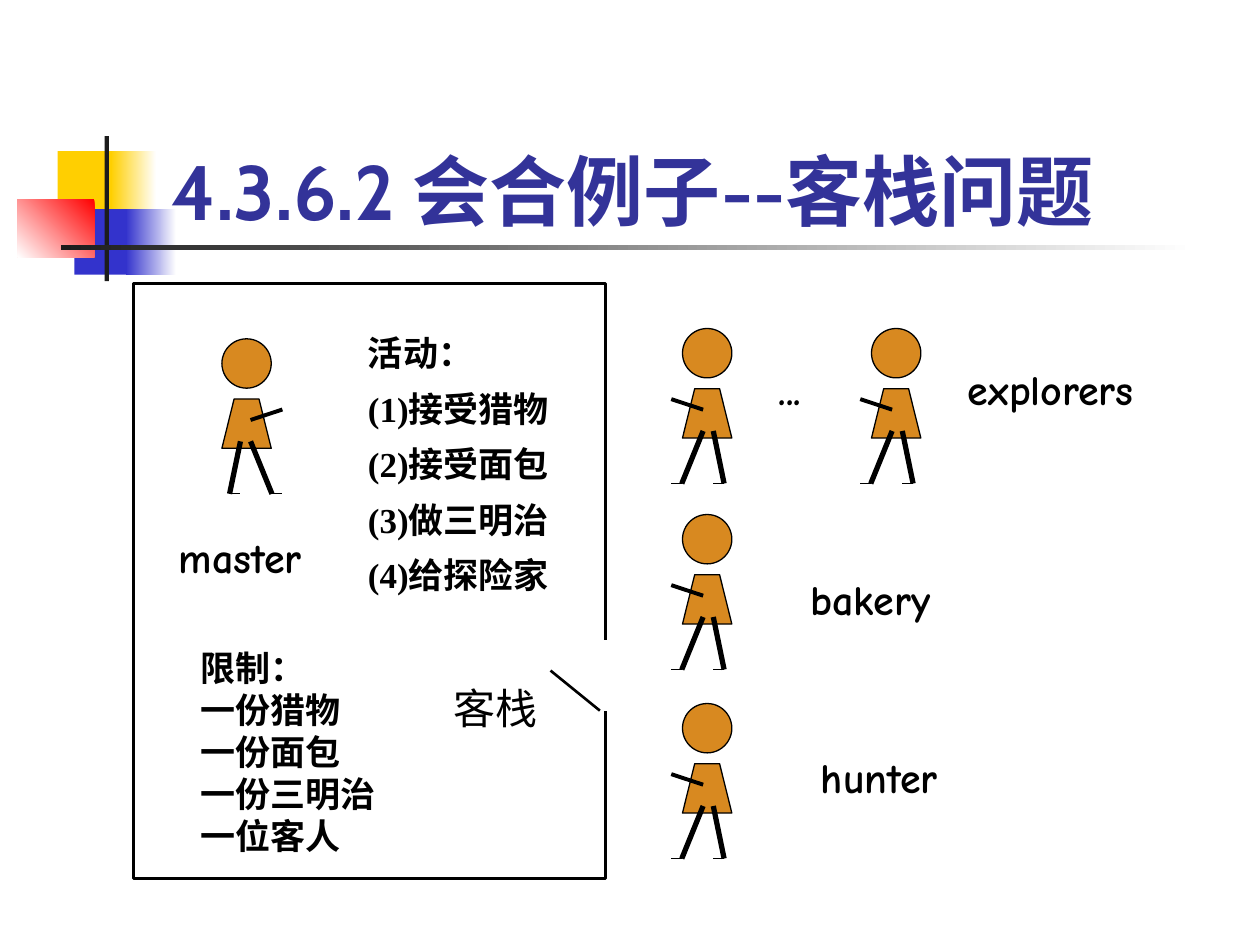
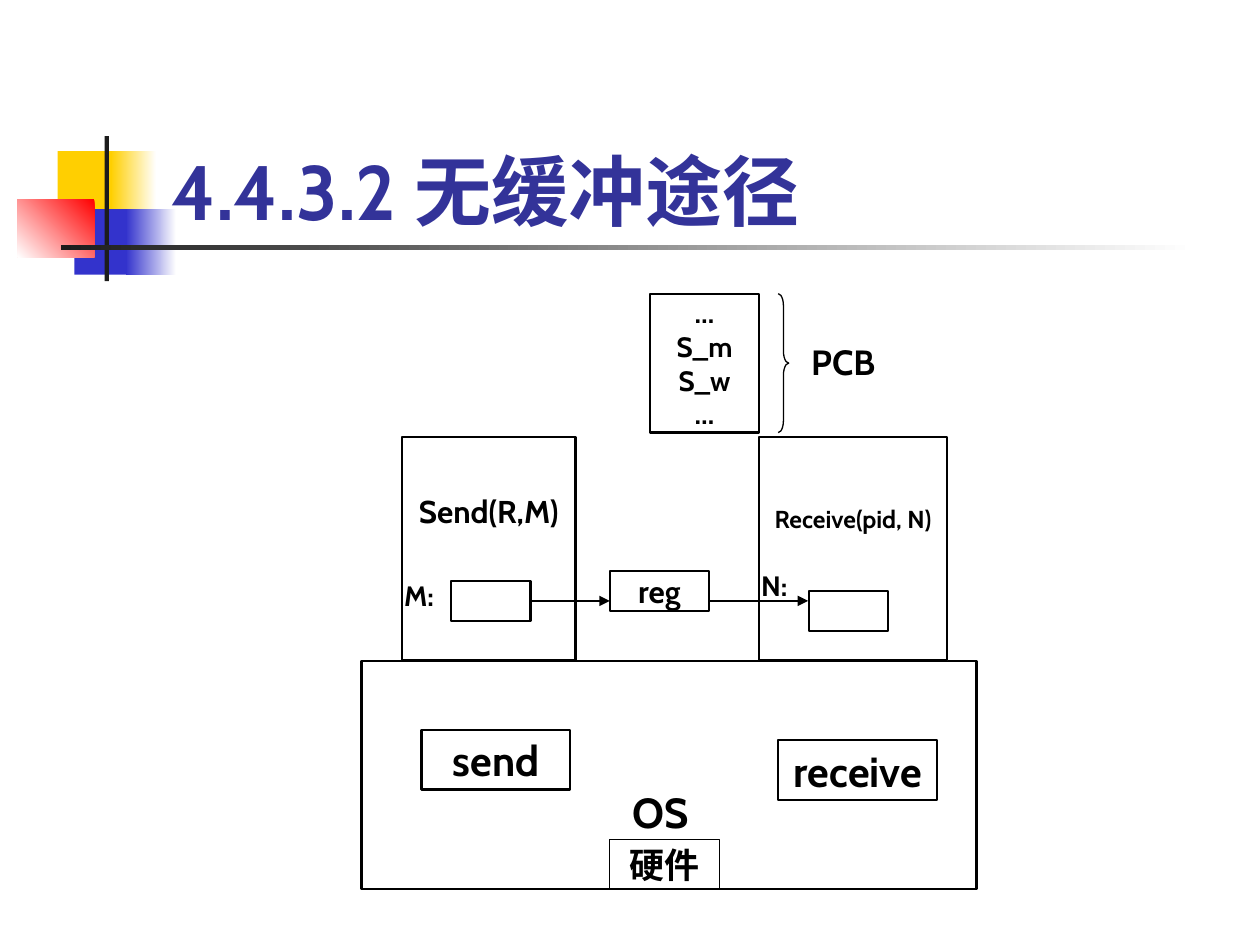
"""Build two slides on process communication: the inn rendezvous and the unbuffered channel."""
from dataclasses import dataclass

from lxml.etree import SubElement
from pptx import Presentation
from pptx.dml.color import RGBColor
from pptx.enum.shapes import MSO_CONNECTOR as Connector, MSO_SHAPE as Preset
from pptx.enum.text import MSO_ANCHOR as Anchor, MSO_AUTO_SIZE as AutoSize, PP_ALIGN as Align
from pptx.oxml.ns import qn
from pptx.util import Pt

BLACK, WHITE, CHARCOAL = "000000", "FFFFFF", "1C1C1C"
YELLOW, BLUE, RED = "FFCF01", "3333CC", "FF0000"
TITLE_COLOR, PERSON_COLOR = "333399", "D88920"
BODY_FONT, COMIC_FONT, SERIF_FONT = "Cabin", "Comic Neue", "Times New Roman"
INSET = 3.6
HEAD_SIZE = 28.2


@dataclass
class Area:
    left: float
    top: float
    width: float
    height: float

    def lengths(self):
        return [Pt(value) for value in (self.left, self.top, self.width, self.height)]


@dataclass
class Band:
    area: Area
    color: str
    end_color: str = ""
    angle: float = 180


@dataclass
class Label:
    area: Area
    lines: tuple
    size: float
    font: str = BODY_FONT
    bold: bool = True
    line_spacing: float = 1.0
    gap: float = 0


@dataclass
class Box:
    area: Area
    lines: tuple = ()
    size: float = 18
    line_width: float = 1.25
    line_color: str = BLACK
    lift: float = 0


@dataclass
class Stroke:
    start: tuple
    end: tuple
    width: float


@dataclass
class Person:
    left: float
    top: float
    faces_left: bool = True


BANDS = [
    Band(Area(33, 86.4, 34.6, 37.4), YELLOW),
    Band(Area(63.4, 86.4, 25.9, 37.4), WHITE, YELLOW),
    Band(Area(42.5, 119.5, 33.1, 37.4), BLUE),
    Band(Area(72, 119.5, 28.8, 37.4), WHITE, BLUE),
    Band(Area(10, 113.8, 44, 33.1), RED, WHITE, 225),
    Band(Area(59.8, 77.8, 2.4, 82.8), CHARCOAL),
    Band(Area(34.8, 140.2, 648, 2.4), WHITE, CHARCOAL),
]
TITLE_AREA = Area(90.7, 48.2, 613.4, 90)

BODY_OUTLINE = [(0, 62.6), (28.2, 62.6), (21.2, 34.4), (7, 34.4)]
LIMBS = [
    Stroke((10.6, 58.6), (4.4, 88.6), 3),
    Stroke((16.4, 58.6), (28.6, 88.6), 3),
    Stroke((4.4, 88.6), (10.6, 88.6), 0.75),
    Stroke((28.6, 88.6), (34.6, 88.6), 0.75),
    Stroke((16.4, 46.4), (34.6, 40.4), 2.25),
]
PEOPLE = [
    Person(126.8, 193.6, False),
    Person(390, 187.7),
    Person(498, 187.7),
    Person(390, 294),
    Person(390, 402),
]
INN = Box(Area(76.4, 162.2, 269.5, 340), line_width=1.5)
DOORWAY = Box(Area(326.4, 366.2, 28.2, 39.6), line_width=0.75, line_color=WHITE)
DOOR = Stroke((314.6, 383.2), (342.8, 406.1), 1.5)
INN_LABELS = [
    Label(Area(437.8, 204, 48, 36), ("...",), 24, COMIC_FONT),
    Label(Area(546, 204, 126, 36), ("explorers",), 24, COMIC_FONT),
    Label(Area(456, 324, 108, 36), ("bakery",), 24, COMIC_FONT),
    Label(Area(462, 426, 108, 36), ("hunter",), 24, COMIC_FONT),
    Label(Area(95.2, 300, 96, 36), ("master",), 24, COMIC_FONT),
    Label(Area(203.2, 190.8, 132, 153.4),
          ("活动：", "(1)接受猎物", "(2)接受面包", "(3)做三明治", "(4)给探险家"),
          20, SERIF_FONT, line_spacing=0.8, gap=12.5),
    Label(Area(107.4, 365.8, 180, 127.4),
          ("限制：", "一份猎物", "一份面包", "一份三明治", "一位客人"), 20, SERIF_FONT),
    Label(Area(252, 386.6, 62.6, 36), ("客栈",), 24, bold=False),
]

MESSAGE_SLOT = Box(Area(257.8, 331.9, 45.4, 23))
CHANNEL_BOXES = [
    Box(Area(206.6, 377.6, 351.4, 130.3)),
    Box(Area(229.7, 249.8, 99.2, 127.6), ("Send(R,M)",), lift=43.7),
    Box(Area(433.6, 249.8, 107.8, 127.6), ("Receive(pid, N)",), 14, lift=34),
    Box(Area(462.2, 337.7, 45.4, 23)),
    Box(Area(348.5, 326.4, 56.7, 23), ("reg",)),
    Box(Area(240.9, 417, 85, 34.2), ("send",), 24),
    Box(Area(444.7, 423, 91, 34.2), ("receive",), 24),
    Box(Area(371.3, 167.8, 62.6, 79.4), ("…", "S_m", "S_w", "…"), 16),
    Box(Area(348.5, 479.8, 62.6, 28.2), ("硬件",), 20, 0.75),
]
CHANNEL_LABELS = [
    Label(Area(223.9, 326.9, 34, 26.6), ("M:",), 16),
    Label(Area(427.9, 321.1, 34, 26.6), ("N:",), 16),
    Label(Area(456.5, 190.8, 62.6, 31.7), ("PCB",), 20),
    Label(Area(354.2, 445.7, 62.6, 36), ("OS",), 24),
]
TO_REGISTER = Stroke((303.2, 343.4), (348.5, 343.4), 0.75)
TO_RECEIVER = Stroke((405.2, 343.4), (461.8, 343.4), 0.75)
BRACE_AREA = Area(444.7, 167.8, 6, 79.4)


def color(value: str) -> RGBColor:
    return RGBColor.from_string(value)


def paint(shape, fill: str, line: str, width: float) -> None:
    shape.shadow.inherit = False
    if fill:
        shape.fill.solid()
        shape.fill.fore_color.rgb = color(fill)
    else:
        shape.fill.background()
    shape.line.color.rgb = color(line)
    shape.line.width = Pt(width)


def write_lines(frame, lines: tuple, size: float, font: str = BODY_FONT, bold: bool = True,
                align=Align.LEFT, line_spacing: float = 1.0, gap: float = 0,
                text_color: str = BLACK) -> None:
    for index, line in enumerate(lines):
        paragraph = frame.add_paragraph() if index else frame.paragraphs[0]
        paragraph.text = line
        paragraph.alignment = align
        paragraph.line_spacing = line_spacing
        paragraph.space_before = Pt(gap if index else 0)
        paragraph.font.name = font
        paragraph.font.size = Pt(size)
        paragraph.font.bold = bold
        paragraph.font.color.rgb = color(text_color)


def add_box(slide, box: Box):
    shape = slide.shapes.add_shape(Preset.RECTANGLE, *box.area.lengths())
    paint(shape, WHITE, box.line_color, box.line_width)
    frame = shape.text_frame
    frame.word_wrap = False
    frame.vertical_anchor = Anchor.MIDDLE
    frame.margin_bottom = Pt(INSET + box.lift)
    write_lines(frame, box.lines, box.size, align=Align.CENTER)
    return shape


def add_label(slide, label: Label) -> None:
    frame = slide.shapes.add_textbox(*label.area.lengths()).text_frame
    frame.word_wrap = True
    frame.auto_size = AutoSize.SHAPE_TO_FIT_TEXT
    write_lines(frame, label.lines, label.size, label.font, label.bold,
                line_spacing=label.line_spacing, gap=label.gap)


def add_stroke(shapes, stroke: Stroke, arrow: bool = False):
    ends = [Pt(value) for value in (*stroke.start, *stroke.end)]
    connector = shapes.add_connector(Connector.STRAIGHT, *ends)
    connector.line.color.rgb = color(BLACK)
    connector.line.width = Pt(stroke.width)
    if arrow:
        SubElement(connector.line._get_or_add_ln(), qn("a:tailEnd"), type="triangle")
    SubElement(connector.element.spPr, qn("a:effectLst"))
    return connector


def add_person(slide, person: Person) -> None:
    def place(point: tuple) -> tuple:
        x, y = point
        return person.left + (HEAD_SIZE - x if person.faces_left else x), person.top + y

    shapes = slide.shapes.add_group_shape().shapes
    corners = [tuple(Pt(value) for value in place(point)) for point in BODY_OUTLINE]
    builder = shapes.build_freeform(*corners[0])
    builder.add_line_segments(corners[1:], close=True)
    head_area = Area(person.left, person.top, HEAD_SIZE, HEAD_SIZE)
    head = shapes.add_shape(Preset.OVAL, *head_area.lengths())
    for part in (builder.convert_to_shape(), head):
        paint(part, PERSON_COLOR, BLACK, 0.75)
    for limb in LIMBS:
        add_stroke(shapes, Stroke(place(limb.start), place(limb.end), limb.width))


def decorate_layout(layout, slide) -> None:
    for index, band in enumerate(BANDS):
        shape = slide.shapes.add_shape(Preset.RECTANGLE, *band.area.lengths())
        shape.shadow.inherit = False
        shape.line.fill.background()
        if band.end_color:
            shape.fill.gradient()
            shape.fill.gradient_angle = band.angle
            for stop, value in zip(shape.fill.gradient_stops, (band.color, band.end_color)):
                stop.color.rgb = color(value)
        else:
            shape.fill.solid()
            shape.fill.fore_color.rgb = color(band.color)
        shape.element.nvSpPr.cNvPr.set("id", str(100 + index))
        layout.shapes.element.insert(2 + index, shape.element)


def add_titled_slide(presentation, layout, title: str):
    slide = presentation.slides.add_slide(layout)
    shape = slide.shapes.title
    shape.left, shape.top, shape.width, shape.height = TITLE_AREA.lengths()
    shape.text_frame.vertical_anchor = Anchor.BOTTOM
    shape.text_frame.auto_size = AutoSize.NONE
    write_lines(shape.text_frame, (title,), 44, text_color=TITLE_COLOR)
    return slide


def draw_inn(slide) -> None:
    add_box(slide, INN)
    for person in PEOPLE:
        add_person(slide, person)
    add_box(slide, DOORWAY)
    add_stroke(slide.shapes, DOOR)
    for label in INN_LABELS:
        add_label(slide, label)


def draw_channel(slide) -> None:
    for box in CHANNEL_BOXES:
        add_box(slide, box)
    message_slot = add_box(slide, MESSAGE_SLOT)
    add_stroke(slide.shapes, TO_REGISTER, arrow=True).begin_connect(message_slot, 3)
    add_stroke(slide.shapes, TO_RECEIVER, arrow=True)
    brace = slide.shapes.add_shape(Preset.RIGHT_BRACE, *BRACE_AREA.lengths())
    brace.adjustments[0] = 1.15
    paint(brace, "", BLACK, 0.75)
    for label in CHANNEL_LABELS:
        add_label(slide, label)


def main() -> None:
    presentation = Presentation()
    presentation.slide_width, presentation.slide_height = Pt(720), Pt(540)
    layout = presentation.slide_layouts.get_by_name("Title Only")
    inn_slide = add_titled_slide(presentation, layout, "4.3.6.2 会合例子--客栈问题")
    decorate_layout(layout, inn_slide)
    draw_inn(inn_slide)
    draw_channel(add_titled_slide(presentation, layout, "4.4.3.2 无缓冲途径"))
    presentation.save("out.pptx")


if __name__ == "__main__":
    main()
